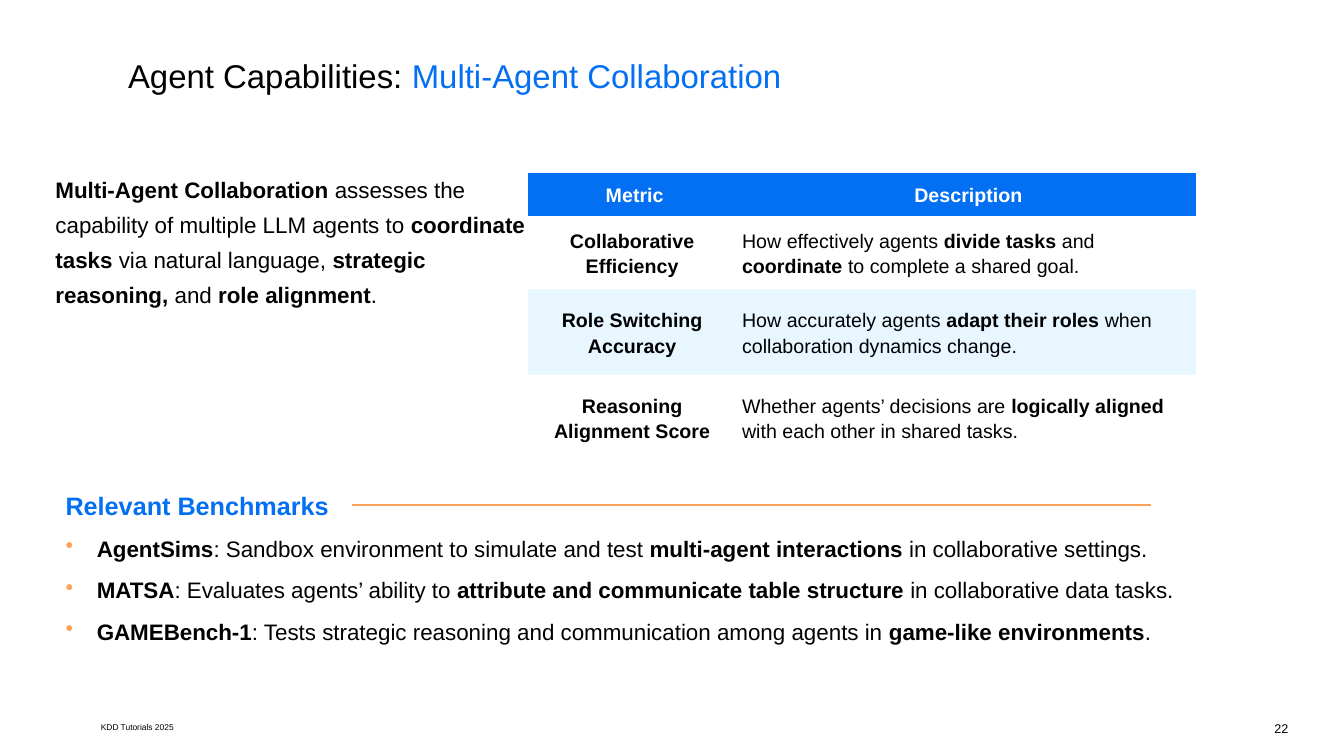
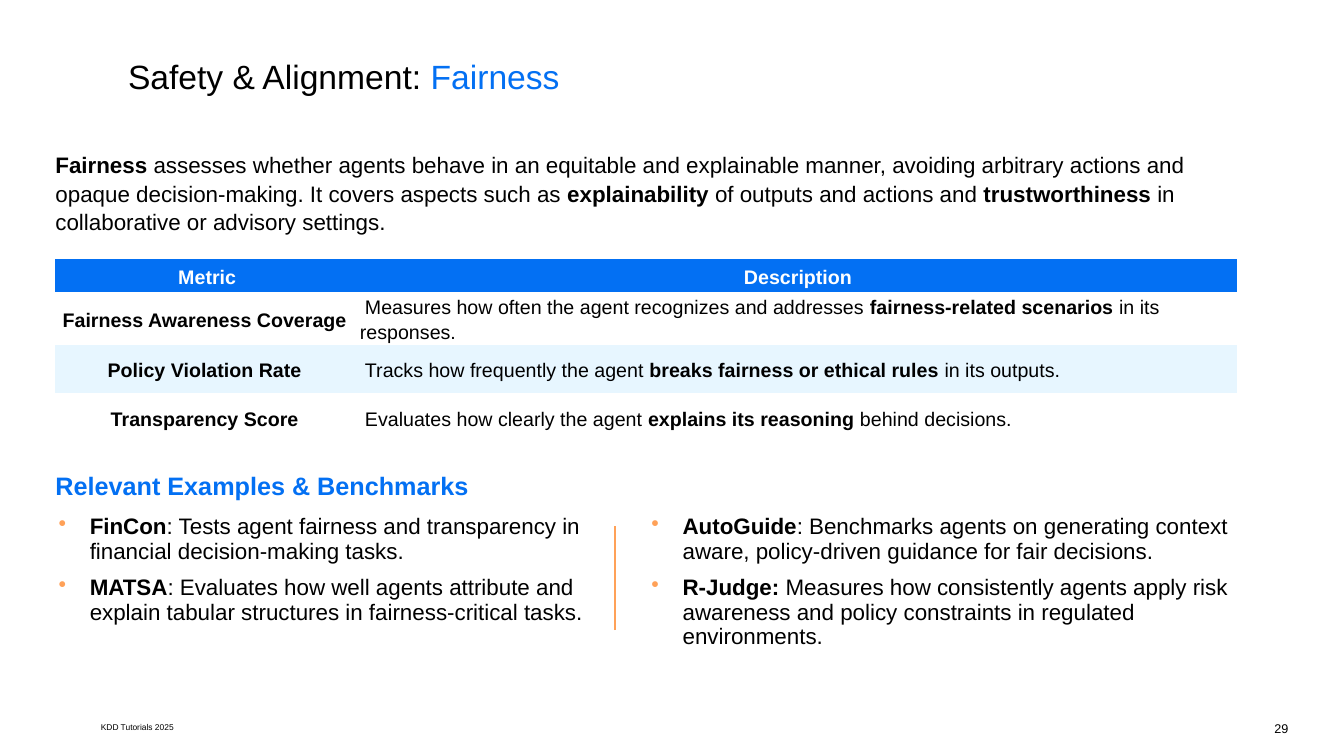
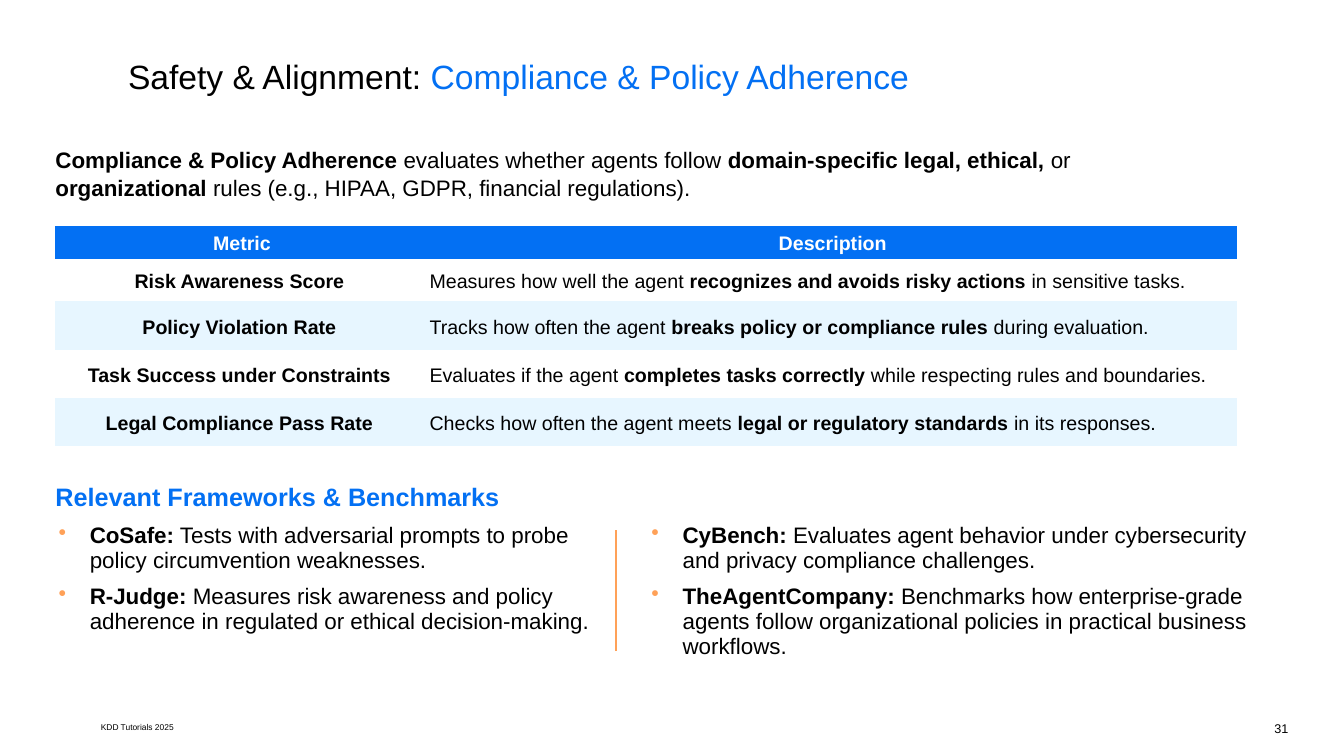
from dataclasses import dataclass

from lxml import etree
from pptx import Presentation
from pptx.dml.color import RGBColor
from pptx.enum.shapes import MSO_CONNECTOR
from pptx.enum.text import MSO_ANCHOR, MSO_AUTO_SIZE, PP_ALIGN
from pptx.oxml.ns import qn
from pptx.slide import Slide
from pptx.table import Table
from pptx.text.text import TextFrame
from pptx.util import Emu, Pt

BLACK = RGBColor(0x00, 0x00, 0x00)
WHITE = RGBColor(0xFF, 0xFF, 0xFF)
BLUE = RGBColor(0x03, 0x70, 0xF3)
PALE = RGBColor(0xE7, 0xF6, 0xFF)
AMBER = RGBColor(0xFF, 0xA1, 0x58)
LEFT = PP_ALIGN.LEFT
MID = PP_ALIGN.CENTER
RIGHT = PP_ALIGN.RIGHT
TOP = MSO_ANCHOR.TOP
CENTER = MSO_ANCHOR.MIDDLE
FIXED = MSO_AUTO_SIZE.NONE
STRAIGHT = MSO_CONNECTOR.STRAIGHT
FONT = "Arial"
PLAIN = "{2D5ABB26-0587-4C30-8999-92F81FD0307C}"
HANG = 31
EDGE = 55


@dataclass(frozen=True)
class Box:
    left: int
    top: int
    width: int
    height: int


@dataclass(frozen=True)
class Grid:
    left: int
    top: int
    cols: tuple[int, ...]
    rows: tuple[int, ...]
    cells: tuple[tuple[str, str], ...]
    inset: int = 0


@dataclass(frozen=True)
class Page:
    number: int
    title: str
    intro: str
    place: Box
    grid: Grid
    head: str
    spot: Box
    items: tuple[str, ...]
    rule: tuple[int, int, int, int]
    size: float = 24
    pitch: float | Pt = 1.05
    table: int = 0


def px(count: int) -> Emu:
    return Emu(count * 9144)


def put(frame: TextFrame, text: str, *, size: float = 16,
        color: RGBColor = BLACK, mark: RGBColor | None = None,
        align: PP_ALIGN = LEFT, pitch: float | Pt = 1.0, before: float = 0,
        margin: int = 0, indent: int = 0, bullet: bool = False) -> None:
    fresh = not frame.text
    para = frame.paragraphs[0] if fresh else frame.add_paragraph()
    props = para._p.get_or_add_pPr()
    props.set("marL", str(px(margin)))
    props.set("indent", str(px(indent)))
    if bullet:
        tint = etree.SubElement(props, qn("a:buClr"))
        etree.SubElement(tint, qn("a:srgbClr")).set("val", str(AMBER))
        etree.SubElement(props, qn("a:buChar")).set("char", "•")
    para.alignment = align
    para.line_spacing = pitch
    para.space_before = Pt(0 if fresh else before)
    for index, part in enumerate(text.split("*")):
        strong = index % 2 == 1
        for row, piece in enumerate(part.split("\n")):
            if row:
                para.add_line_break()
            if not piece:
                continue
            run = para.add_run()
            run.text = piece
            font = run.font
            font.name = FONT
            font.size = Pt(size)
            font.bold = strong and mark is None
            font.color.rgb = mark if strong and mark else color


def trim(frame: TextFrame, anchor: MSO_ANCHOR = TOP) -> TextFrame:
    frame.margin_left = frame.margin_right = 0
    frame.margin_top = frame.margin_bottom = 0
    frame.word_wrap = True
    frame.auto_size = FIXED
    frame.vertical_anchor = anchor
    return frame


def area(slide: Slide, box: Box, anchor: MSO_ANCHOR = TOP) -> TextFrame:
    shape = slide.shapes.add_textbox(
        px(box.left), px(box.top), px(box.width), px(box.height))
    return trim(shape.text_frame, anchor)


def line(slide: Slide, ends: tuple[int, int, int, int]) -> None:
    link = slide.shapes.add_connector(STRAIGHT, *map(px, ends))
    link.line.color.rgb = AMBER
    link.line.width = Pt(1.5)
    etree.SubElement(link.element.spPr, qn("a:effectLst"))


def table(slide: Slide, left: int, top: int, cols: tuple[int, ...],
          rows: tuple[int, ...]) -> Table:
    shape = slide.shapes.add_table(
        len(rows), len(cols), px(left), px(top), px(sum(cols)), px(sum(rows)))
    for style in shape.element.iter(qn("a:tableStyleId")):
        style.text = PLAIN
    result = shape.table
    result.first_row = result.horz_banding = False
    for col, width in zip(result.columns, cols):
        col.width = px(width)
    for row, height in zip(result.rows, rows):
        row.height = px(height)
    return result


def metrics(slide: Slide, grid: Grid) -> None:
    body = table(slide, grid.left, grid.top, grid.cols, grid.rows)
    lines = (("*Metric*", "*Description*"),) + grid.cells
    for row, texts in enumerate(lines):
        for col, text in enumerate(texts):
            cell = body.cell(row, col)
            name = row > 0 and col == 0
            note = row > 0 and col == 1
            cell.margin_left = cell.margin_top = cell.margin_bottom = px(1)
            cell.margin_right = px(6 if name else 1)
            cell.vertical_anchor = CENTER
            cell.fill.solid()
            cell.fill.fore_color.rgb = (
                BLUE if row == 0 else WHITE if row % 2 else PALE)
            put(cell.text_frame, f"*{text}*" if name else text, size=14,
                color=BLACK if row else WHITE, pitch=1.15,
                align=LEFT if note else MID, indent=grid.inset if note else 0)


def pairs(slide: Slide, top: int, items: tuple[str, ...]) -> None:
    body = table(slide, 17, top, (588, 660), (201,))
    half = len(items) // 2
    for col in range(2):
        cell = body.cell(0, col)
        cell.fill.background()
        for item in items[col * half:(col + 1) * half]:
            put(cell.text_frame, item, before=8, margin=2 * HANG,
                indent=-HANG, bullet=True)


def frame(slide: Slide, page: Page) -> None:
    title = slide.shapes.title
    title.left, title.top = px(127), px(55)
    title.width, title.height = px(1180), px(40)
    put(trim(title.text_frame), page.title, size=page.size, mark=BLUE)
    put(area(slide, Box(1238, 715, 40, 15)), str(page.number), size=9,
        align=RIGHT)
    put(area(slide, Box(100, 709, 92, 25), CENTER), "KDD Tutorials 2025",
        size=6)


def draw(slide: Slide, page: Page) -> None:
    frame(slide, page)
    put(area(slide, page.place), page.intro, pitch=page.pitch)
    metrics(slide, page.grid)
    text = area(slide, page.spot)
    put(text, f"*{page.head}*", size=18, color=BLUE)
    if page.table:
        pairs(slide, page.table, page.items)
    else:
        for item in page.items:
            put(text, item, pitch=1.5, before=1, margin=HANG, indent=-HANG,
                bullet=True)
    line(slide, page.rule)


PAGES = (
    Page(
        number=22,
        title="Agent Capabilities: *Multi-Agent Collaboration*",
        size=23.5,
        intro="*Multi-Agent Collaboration* assesses the capability of "
              "multiple LLM agents to *coordinate tasks* via natural "
              "language, *strategic reasoning,* and *role alignment*.",
        place=Box(EDGE, 167, 469, 175),
        pitch=Pt(25),
        grid=Grid(524, 172, (211, 451), (42, 73, 85, 85), (
            ("Collaborative Efficiency",
             "How effectively agents *divide tasks* and\n"
             "*coordinate* to complete a shared goal."),
            ("Role Switching Accuracy",
             "How accurately agents *adapt their roles* when\n"
             "collaboration dynamics change."),
            ("Reasoning\nAlignment Score",
             "Whether agents’ decisions are *logically aligned*\n"
             "with each other in shared tasks."),
        )),
        head="Relevant Benchmarks",
        spot=Box(65, 486, 1248, 147),
        items=(
            "*AgentSims*: Sandbox environment to simulate and test "
            "*multi-agent interactions* in collaborative settings.",
            "*MATSA*: Evaluates agents’ ability to *attribute and "
            "communicate table structure* in collaborative data tasks.",
            "*GAMEBench-1*: Tests strategic reasoning and communication "
            "among agents in *game-like environments*.",
        ),
        rule=(349, 501, 1142, 501),
    ),
    Page(
        number=29,
        title="Safety & Alignment: *Fairness*",
        intro="*Fairness* assesses whether agents behave in an equitable and "
              "explainable manner, avoiding arbitrary actions and opaque "
              "decision-making. It covers aspects such as *explainability* "
              "of outputs and actions and *trustworthiness* in "
              "collaborative or advisory settings.",
        place=Box(EDGE, 149, 1183, 90),
        grid=Grid(EDGE, 257, (301, 871), (33, 42, 48, 48), (
            ("Fairness Awareness Coverage",
             "Measures how often the agent recognizes and addresses "
             "*fairness-related scenarios* in its responses."),
            ("Policy Violation Rate",
             "Tracks how frequently the agent *breaks fairness or ethical "
             "rules* in its outputs."),
            ("Transparency Score",
             "Evaluates how clearly the agent *explains its reasoning* "
             "behind decisions."),
        ), inset=5),
        head="Relevant Examples & Benchmarks",
        spot=Box(EDGE, 467, 572, 32),
        table=505,
        items=(
            "*FinCon*: Tests agent fairness and transparency in financial "
            "decision-making tasks.",
            "*MATSA*: Evaluates how well agents attribute and explain "
            "tabular structures in fairness-critical tasks.",
            "*AutoGuide*: Benchmarks agents on generating context aware, "
            "policy-driven guidance for fair decisions.",
            "*R-Judge:* Measures how consistently agents apply risk "
            "awareness and policy constraints in regulated environments.",
        ),
        rule=(610, 625, 610, 522),
    ),
    Page(
        number=31,
        title="Safety & Alignment: *Compliance & Policy Adherence*",
        intro="*Compliance & Policy Adherence* evaluates whether agents "
              "follow *domain-specific legal, ethical,* or *organizational* "
              "rules (e.g., HIPAA, GDPR, financial regulations).",
        place=Box(EDGE, 144, 1127, 70),
        grid=Grid(EDGE, 224, (370, 802), (33, 42, 48, 48, 48), (
            ("Risk Awareness Score",
             "Measures how well the agent *recognizes and avoids risky "
             "actions* in sensitive tasks."),
            ("Policy Violation Rate",
             "Tracks how often the agent *breaks policy or compliance "
             "rules* during evaluation."),
            ("Task Success under Constraints",
             "Evaluates if the agent *completes tasks correctly* while "
             "respecting rules and boundaries."),
            ("Legal Compliance Pass Rate",
             "Checks how often the agent meets *legal or regulatory "
             "standards* in its responses."),
        )),
        head="Relevant Frameworks & Benchmarks",
        spot=Box(EDGE, 477, 572, 32),
        table=514,
        items=(
            "*CoSafe:* Tests with adversarial prompts to probe policy "
            "circumvention weaknesses.",
            "*R-Judge:* Measures risk awareness and policy adherence in "
            "regulated or ethical decision-making.",
            "*CyBench:* Evaluates agent behavior under cybersecurity and "
            "privacy compliance challenges.",
            "*TheAgentCompany:* Benchmarks how enterprise-grade agents "
            "follow organizational policies in practical business "
            "workflows.",
        ),
        rule=(611, 646, 611, 526),
    ),
)


def main() -> None:
    deck = Presentation()
    deck.slide_width, deck.slide_height = px(1333), px(750)
    for page in PAGES:
        draw(deck.slides.add_slide(deck.slide_layouts[5]), page)
    deck.save("out.pptx")


if __name__ == "__main__":
    main()
